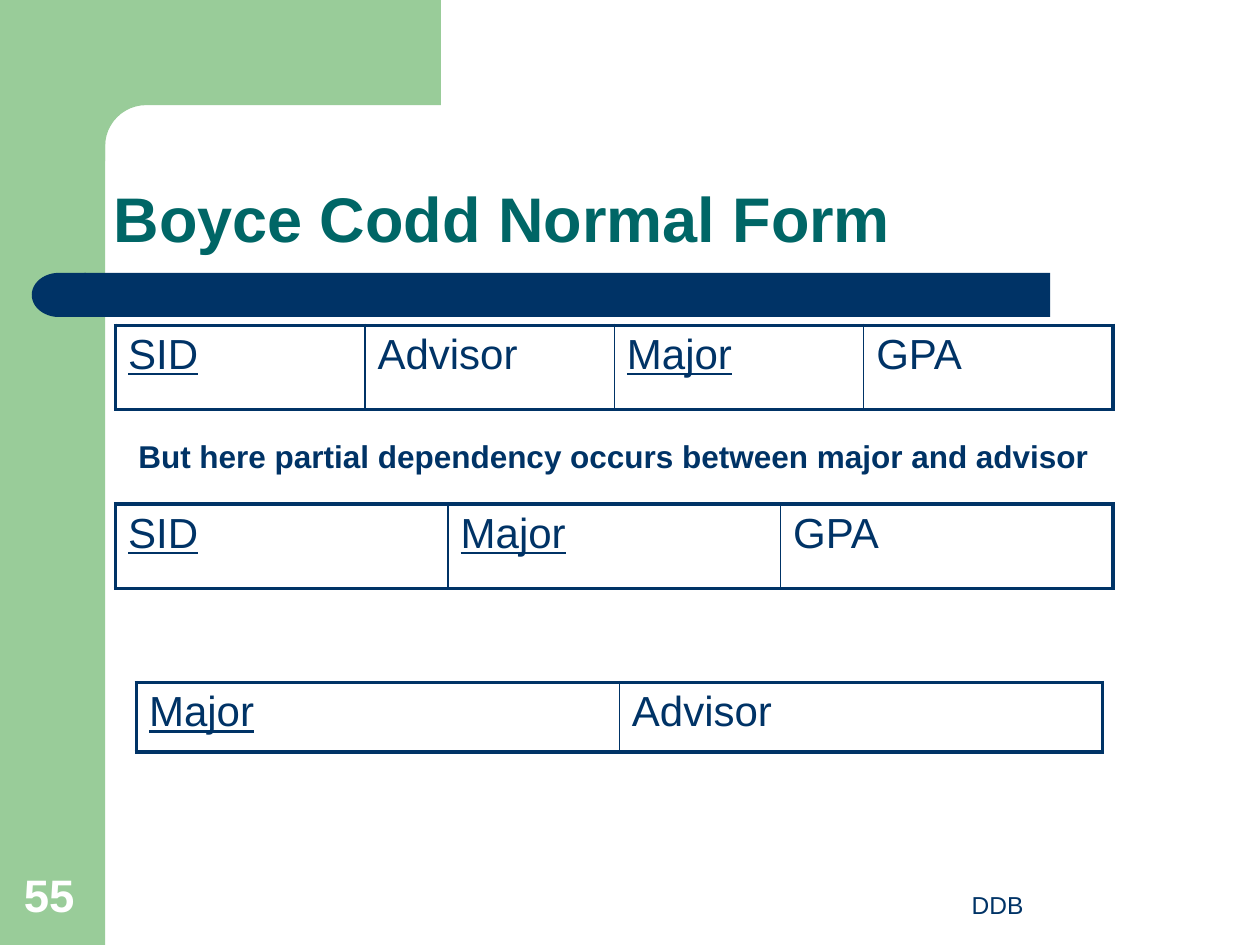
from math import cos, pi, sin

from lxml.etree import SubElement
from pptx import Presentation
from pptx.dml.color import RGBColor
from pptx.enum.shapes import MSO_SHAPE as Shape
from pptx.enum.text import MSO_ANCHOR as Anchor, PP_ALIGN as Align
from pptx.oxml.ns import qn
from pptx.util import Cm, Pt

NAVY, GREEN, TEAL, WHITE = "003366", "99CC99", "006666", "FFFFFF"


def color(value):
    return RGBColor.from_string(value)


class Builder:
    font = "Arial"
    thin, thick = 1, 2.25

    def __init__(self, slide):
        self.s = slide

    def paint(self, sp, fill):
        sp.shadow.inherit = False
        sp.fill.solid()
        sp.fill.fore_color.rgb = color(fill)
        sp.line.fill.background()

    def shape(self, kind, x, y, w, h, fill, rotation=0):
        sp = self.s.shapes.add_shape(kind, Cm(x), Cm(y), Cm(w), Cm(h))
        sp.rotation = rotation
        self.paint(sp, fill)

    def outline(self, points, fill):
        (x, y), *rest = points
        fb = self.s.shapes.build_freeform(Cm(x), Cm(y))
        fb.add_line_segments([(Cm(px), Cm(py)) for px, py in rest])
        self.paint(fb.convert_to_shape(), fill)

    def style(self, p, size, fill, bold=False, underline=False):
        f = p.font
        f.name, f.size, f.bold, f.underline = self.font, Pt(size), bold, underline
        f.color.rgb = color(fill)

    def text(self, text, x, y, w, h, size, fill, bold=False,
             anchor=Anchor.BOTTOM, align=Align.LEFT, spacing=1.0, inset=0.25):
        tf = self.s.shapes.add_textbox(Cm(x), Cm(y), Cm(w), Cm(h)).text_frame
        tf.word_wrap = True
        tf.vertical_anchor = anchor
        tf.margin_left = Cm(inset)
        p = tf.paragraphs[0]
        p.text, p.alignment, p.line_spacing = text, align, spacing
        self.style(p, size, fill, bold)

    def borders(self, cell, widths):
        tc_pr = cell._tc.get_or_add_tcPr()
        for side, width in zip("LRTB", widths):
            ln = SubElement(tc_pr, qn(f"a:ln{side}"), w=str(Pt(width)))
            fill = SubElement(ln, qn("a:solidFill"))
            SubElement(fill, qn("a:srgbClr"), val=NAVY)

    def relation(self, names, keys, x, y, w, h):
        n = len(names)
        table = self.s.shapes.add_table(1, n, Cm(x), Cm(y), Cm(w), Cm(h)).table
        table.first_row = table.horz_banding = False
        for i, name in enumerate(names):
            table.columns[i].width = Cm(w / n)
            cell = table.cell(0, i)
            p = cell.text_frame.paragraphs[0]
            p.text = name
            self.style(p, 24, NAVY, underline=name in keys)
            left = self.thick if i == 0 else self.thin
            right = self.thick if i == n - 1 else self.thin
            self.borders(cell, (left, right, self.thick, self.thick))
            cell.fill.background()


def main():
    prs = Presentation()
    prs.slide_width, prs.slide_height = Cm(25.4), Cm(19.05)
    b = Builder(prs.slides.add_slide(prs.slide_layouts[6]))

    b.shape(Shape.RECTANGLE, 0, 0, 2.12, 19.05, GREEN)
    radius, center, steps = 0.83, 2.95, 12
    angles = [pi / 2 * i / steps for i in range(steps + 1)]
    corner = [(center - radius * sin(a), center - radius * cos(a)) for a in angles]
    b.outline([(8.89, 0), (8.89, 2.12), *corner,
               (2.12, 3.25), (1.27, 3.25), (1.27, 0)], GREEN)
    b.shape(Shape.RECTANGLE, 1.7, 5.5, 19.47, 0.89, NAVY)
    b.shape(Shape.FLOWCHART_DELAY, 0.64, 5.5, 1.09, 0.89, NAVY, rotation=180)

    b.text("DDB", 16.09, 17.35, 8.04, 1.32, 14, NAVY, align=Align.CENTER)
    b.text("55", 0.23, 17.35, 1.63, 1.35, 26, WHITE, bold=True)
    b.text("Boyce Codd Normal Form", 2.12, 2.12, 22.01, 3.17, 36, TEAL,
           bold=True, spacing=0.9, inset=0.17)

    b.relation(["SID", "Advisor", "Major", "GPA"], {"SID", "Major"},
               2.33, 6.56, 20.11, 1.7)
    b.relation(["SID", "Major", "GPA"], {"SID", "Major"}, 2.33, 10.16, 20.11, 1.7)
    b.text("But here partial dependency occurs between major and advisor",
           2.54, 8.69, 20.96, 1.02, 18, NAVY, bold=True, anchor=Anchor.TOP)
    b.relation(["Major", "Advisor"], {"Major"}, 2.75, 13.76, 19.47, 1.4)

    prs.save("out.pptx")


if __name__ == "__main__":
    main()
